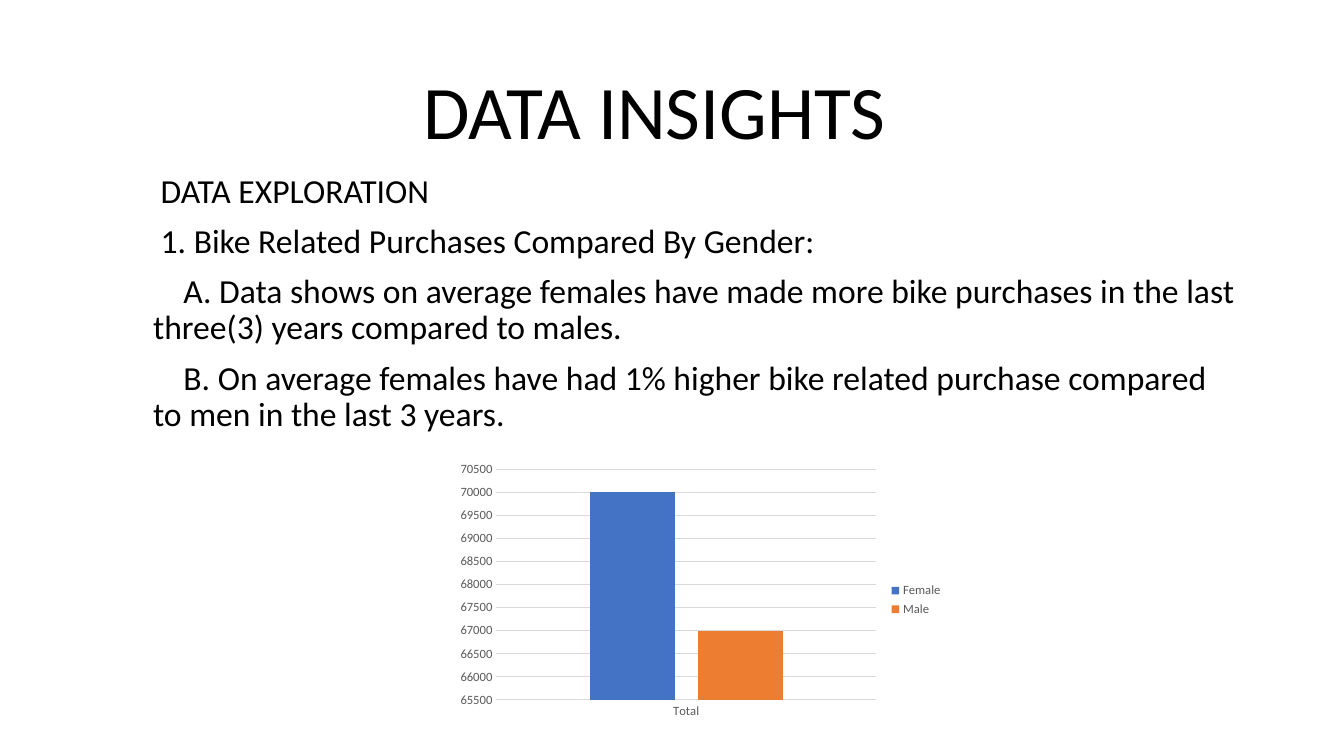
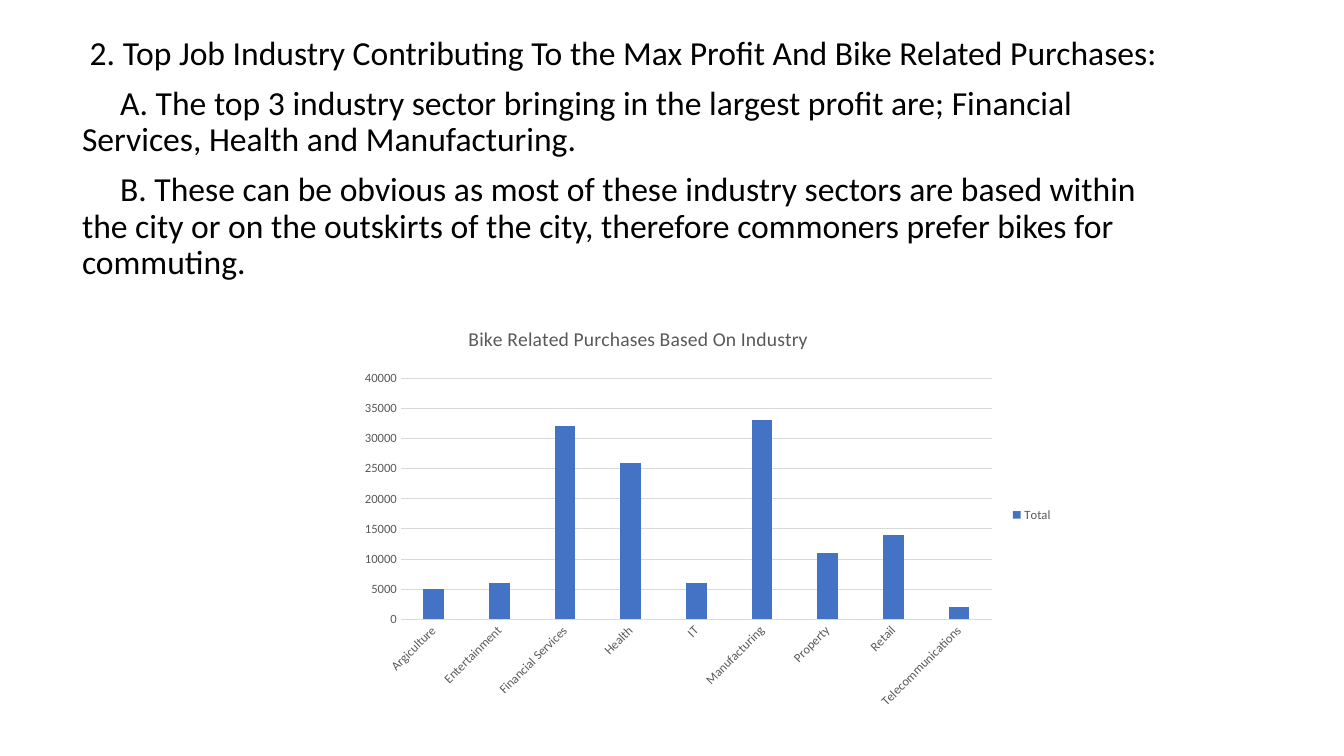
import pptx
import pptx.util
import pptx.dml.color
import pptx.chart.data
import pptx.enum.chart
import pptx.enum.text
import pptx.oxml

PIXEL = 914400 / 100.8
FONT = "Calibri"
COLORS = {
    "text": "000000",
    "label": "595959",
    "grid": "D9D9D9",
    "blue": "4472C4",
    "orange": "ED7D31",
}
SPACE = 7.6  # width of one indent step in the body text, in pixels


def px(length):
    return pptx.util.Emu(round(length * PIXEL))


def rgb(name):
    return pptx.dml.color.RGBColor.from_string(COLORS[name])


def style_font(font, size, color):
    font.name = FONT
    font.size = pptx.util.Pt(size)
    font.bold = False
    font.color.rgb = rgb(color)


def place(shape, box):
    shape.left, shape.top, shape.width, shape.height = map(px, box)


def prepare_frame(shape, box, anchor):
    place(shape, box)
    frame = shape.text_frame
    frame.word_wrap = True
    frame.auto_size = pptx.enum.text.MSO_AUTO_SIZE.NONE
    frame.vertical_anchor = anchor
    return frame


def add_title(page, box, text):
    frame = prepare_frame(page.shapes.title, box, pptx.enum.text.MSO_ANCHOR.BOTTOM)
    frame.text = text
    para = frame.paragraphs[0]
    para.alignment = pptx.enum.text.PP_ALIGN.CENTER
    para.line_spacing = 0.9
    style_font(para.font, 54, "text")


def add_body(page, box, lines):
    """Each line is a pair: first-line indent in steps, and its text."""
    frame = prepare_frame(page.placeholders[1], box, pptx.enum.text.MSO_ANCHOR.TOP)
    frame.text = "\n".join(text for _, text in lines)
    for para, (steps, _) in zip(frame.paragraphs, lines):
        para.alignment = pptx.enum.text.PP_ALIGN.LEFT
        para.line_spacing = 0.9
        para.space_before = pptx.util.Pt(10)
        style_font(para.font, 24, "text")
        properties = para._p.get_or_add_pPr()
        properties.set("marL", "0")
        properties.set("indent", str(px(steps * SPACE)))


def set_layout(parent, **fractions):
    """Fix the place of a chart part, as fractions of the chart."""
    namespace = pptx.oxml.ns.nsdecls("c")
    if "w" in fractions:
        modes = '<c:layoutTarget val="inner"/>'
    else:
        modes = ""
    modes += '<c:xMode val="edge"/><c:yMode val="edge"/>'
    values = "".join(f'<c:{key} val="{value}"/>' for key, value in fractions.items())
    layout = pptx.oxml.parse_xml(
        f"<c:layout {namespace}><c:manualLayout>{modes}{values}"
        "</c:manualLayout></c:layout>"
    )
    for old in parent.findall(pptx.oxml.ns.qn("c:layout")):
        parent.remove(old)
    text = parent.find(pptx.oxml.ns.qn("c:tx"))
    parent.insert(0 if text is None else 1, layout)


def add_column_chart(page, box, categories, series, scale, plot_area):
    data = pptx.chart.data.CategoryChartData()
    data.categories = categories
    for name, _, values in series:
        data.add_series(name, values)
    kind = pptx.enum.chart.XL_CHART_TYPE.COLUMN_CLUSTERED
    chart = page.shapes.add_chart(kind, *map(px, box), data).chart
    chart.has_title = False
    style_font(chart.font, 10, "text")

    # Columns
    plot = chart.plots[0]
    plot.gap_width = 219
    plot.overlap = -27
    plot.vary_by_categories = False
    for column, (_, color, _) in zip(plot.series, series):
        column.format.fill.solid()
        column.format.fill.fore_color.rgb = rgb(color)

    # Axes
    for axis in (chart.category_axis, chart.value_axis):
        axis.major_tick_mark = pptx.enum.chart.XL_TICK_MARK.NONE
        axis.minor_tick_mark = pptx.enum.chart.XL_TICK_MARK.NONE
        style_font(axis.tick_labels.font, 9, "label")
    value_axis = chart.value_axis
    value_axis.minimum_scale, value_axis.maximum_scale, value_axis.major_unit = scale
    value_axis.has_major_gridlines = True
    value_axis.format.line.fill.background()
    for line in (chart.category_axis.format.line, value_axis.major_gridlines.format.line):
        line.color.rgb = rgb("grid")
        line.width = pptx.util.Pt(0.75)

    # Legend
    chart.has_legend = True
    chart.legend.position = pptx.enum.chart.XL_LEGEND_POSITION.RIGHT
    chart.legend.include_in_layout = False
    style_font(chart.legend.font, 9, "label")

    set_layout(chart._chartSpace.chart.plotArea, **plot_area)
    return chart


def add_chart_title(chart, text):
    chart.has_title = True
    frame = chart.chart_title.text_frame
    frame.text = text
    style_font(frame.paragraphs[0].font, 14, "label")
    set_layout(chart.chart_title._element, x=0.16, y=0.02)


def slant_labels(axis):
    body = axis.tick_labels.font._element.getparent().getparent().getparent().bodyPr
    body.set("rot", "-2700000")
    body.set("vert", "horz")


def gender_slide(deck):
    page = deck.slides.add_slide(deck.slide_layouts[0])
    add_title(page, (160, 69, 989, 92), "DATA INSIGHTS")
    add_body(page, (143, 169, 1106, 551), [
        (1, "DATA EXPLORATION"),
        (1, "1. Bike Related Purchases Compared By Gender:"),
        (4, "A. Data shows on average females have made more bike purchases "
            "in the last three(3) years compared to males."),
        (4, "B. On average females have had 1% higher bike related purchase "
            "compared to men in the last 3 years."),
    ])
    add_column_chart(
        page, (440, 461, 513, 278), ["Total"],
        [("Female", "blue", [70000]), ("Male", "orange", [67000])],
        (65500, 70500, 500), dict(x=0.11, y=0.03, w=0.74, h=0.83))


def industry_slide(deck):
    page = deck.slides.add_slide(deck.slide_layouts[0])
    title = page.shapes.title._element
    title.getparent().remove(title)
    add_body(page, (72, 31, 1104, 713), [
        (1, "2. Top Job Industry Contributing To the Max Profit And Bike "
            "Related Purchases:"),
        (5, "A. The top 3 industry sector bringing in the largest profit are; "
            "Financial Services, Health and Manufacturing."),
        (5, "B. These can be obvious as most of these industry sectors are "
            "based within the city or on the outskirts of the city, therefore "
            "commoners prefer bikes for commuting."),
    ])
    purchases = {
        "Argiculture": 5000,
        "Entertainment": 6000,
        "Financial Services": 32000,
        "Health": 26000,
        "IT": 6000,
        "Manufacturing": 33000,
        "Property": 11000,
        "Retail": 14000,
        "Telecommunications": 2000,
    }
    chart = add_column_chart(
        page, (351, 314, 712, 402), list(purchases),
        [("Total", "blue", list(purchases.values()))],
        (0, 40000, 5000), dict(x=0.07, y=0.16, w=0.83, h=0.6))
    add_chart_title(chart, "Bike Related Purchases Based On Industry")
    slant_labels(chart.category_axis)


deck = pptx.Presentation()
deck.slide_width, deck.slide_height = px(1344), px(756)
gender_slide(deck)
industry_slide(deck)
deck.save("out.pptx")
